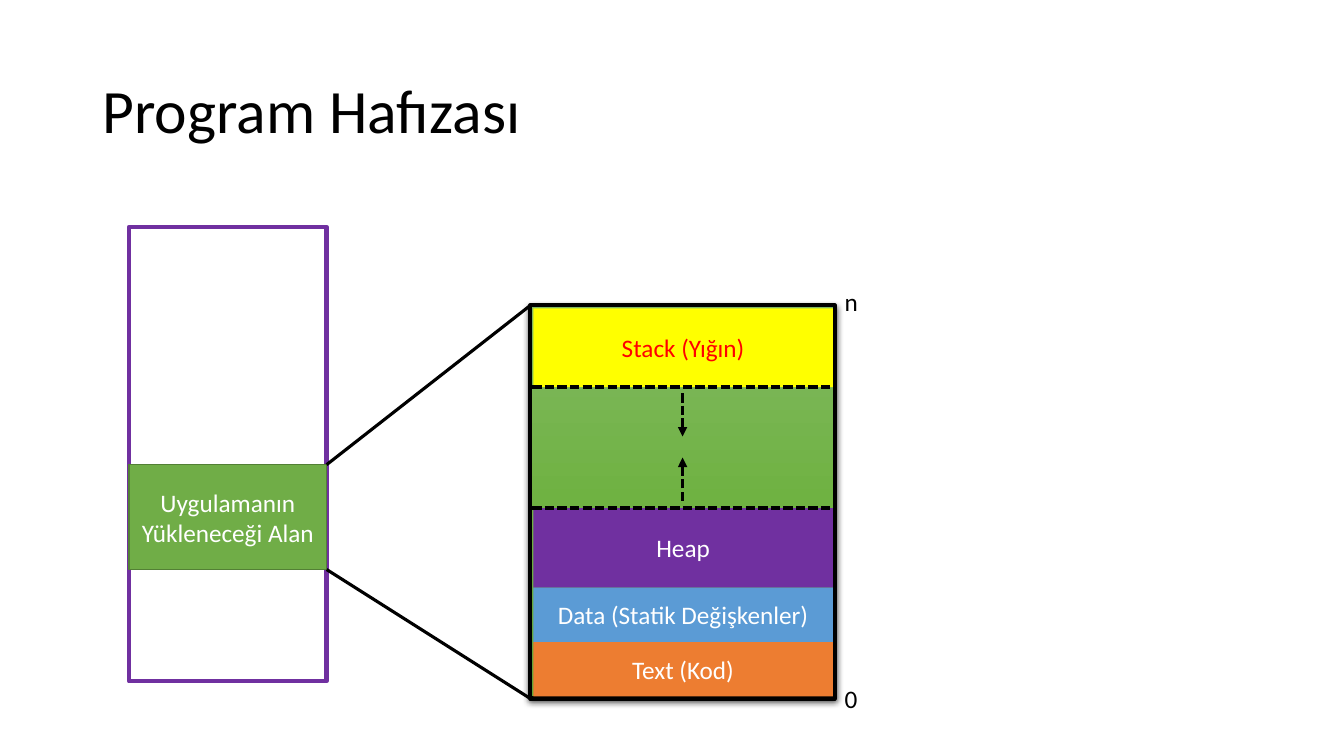
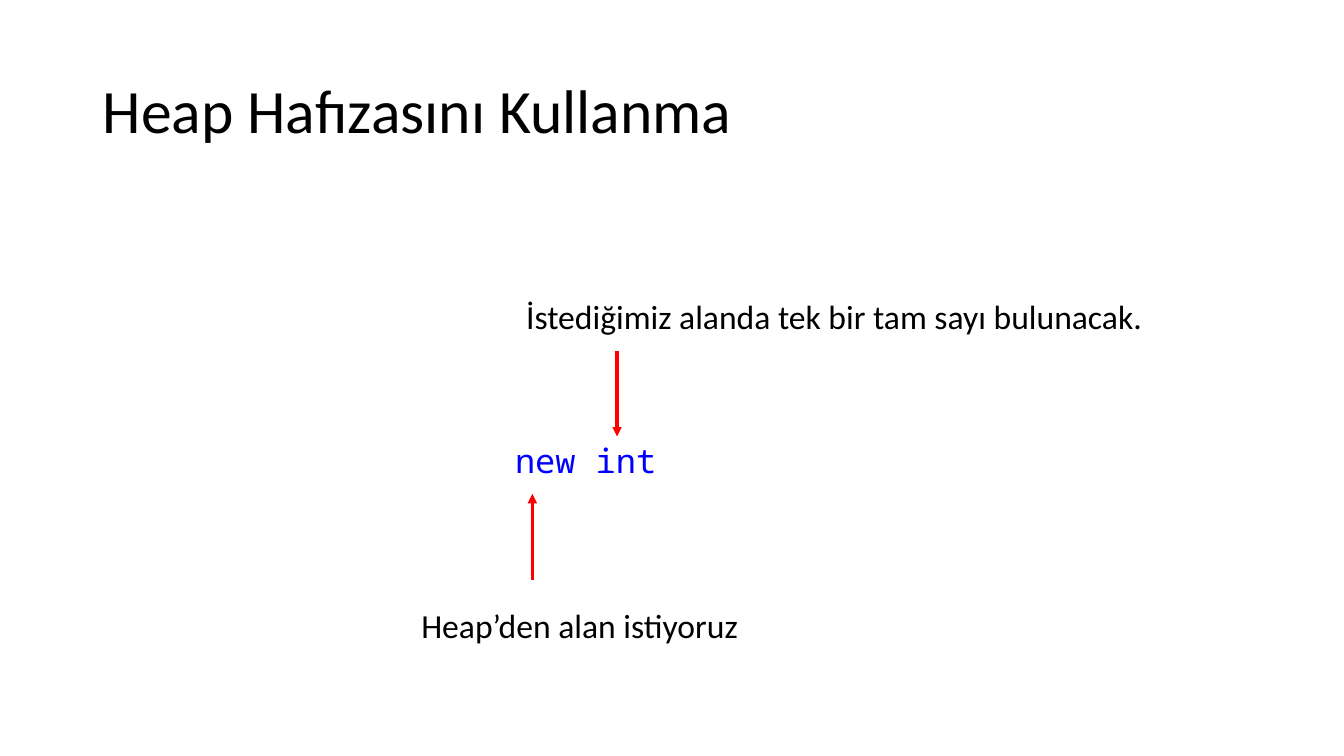
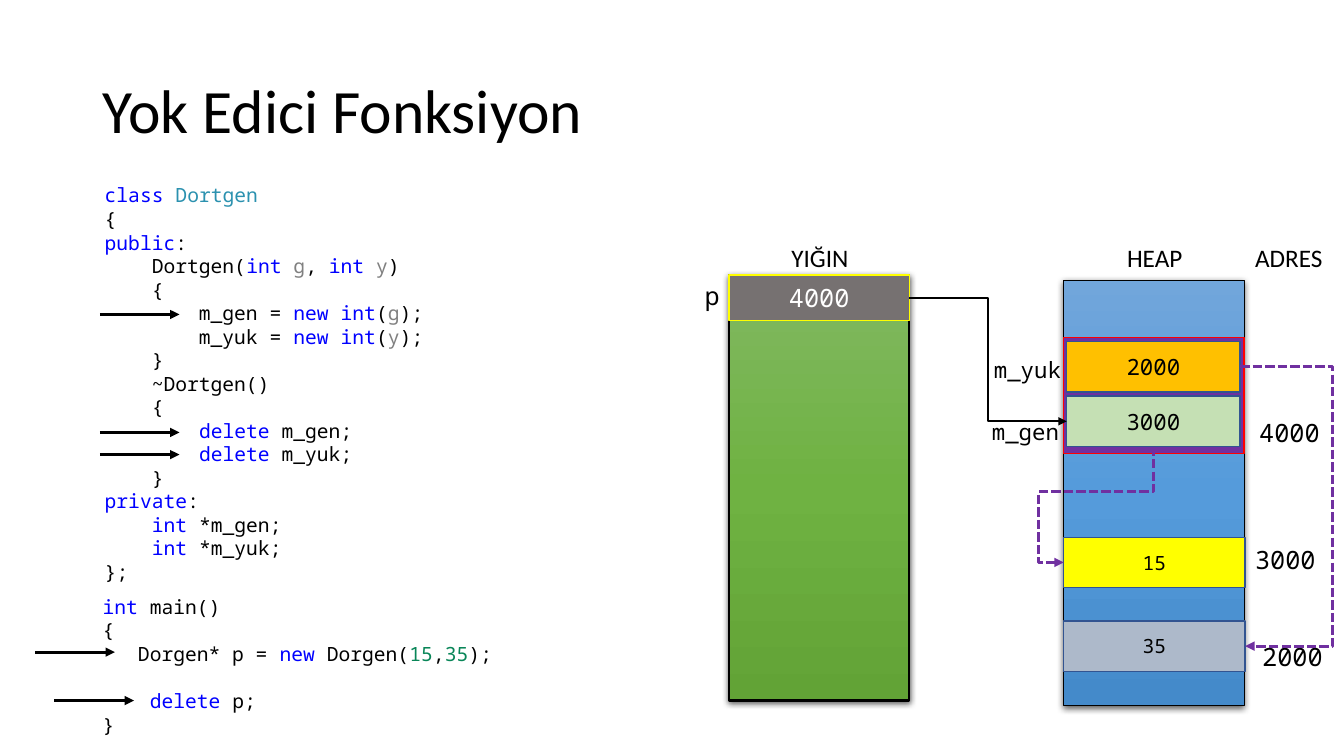
import itertools
from dataclasses import dataclass
from typing import Any, Optional

import lxml.etree
import pptx
import pptx.dml.color
import pptx.enum.dml
import pptx.enum.shapes
import pptx.enum.text
import pptx.oxml.ns
import pptx.util

Inches = pptx.util.Inches
Pt = pptx.util.Pt
qn = pptx.oxml.ns.qn
MIDDLE = pptx.enum.text.MSO_ANCHOR.MIDDLE
CENTER = pptx.enum.text.PP_ALIGN.CENTER
BLANK_LAYOUT = 6
BOTTOM, LEFT, RIGHT = 2, 1, 3  # connection sites of a rectangle


@dataclass(frozen=True)
class Theme:
    sans: str = "Calibri"
    mono: str = "Noto Sans Mono"
    title_size: int = 44
    large: int = 24
    body: int = 18
    value: int = 16
    code: int = 14
    black: str = "000000"
    white: str = "FFFFFF"
    red: str = "FF0000"
    yellow: str = "FFFF00"
    purple: str = "7030A0"
    green: str = "70AD47"
    green_edge: str = "538035"
    orange: str = "ED7D31"
    blue: str = "5B9BD5"
    amber: str = "FFC000"
    pale_green: str = "C5E0B4"
    blue_grey: str = "ADB9CA"
    grey: str = "767171"
    cell_edge: str = "325491"
    keyword: str = "0000FF"
    type_name: str = "2B91AF"
    parameter: str = "808080"
    number: str = "098658"
    green_fade: tuple[str, ...] = ("81B861", "6FB242", "62A336")
    blue_fade: tuple[str, ...] = ("71A6DB", "559BDB", "448ACA")


THEME = Theme()


@dataclass(frozen=True)
class Label:
    text: str
    left: float
    top: float
    width: float
    height: float = 0.4
    size: int = THEME.body
    font: str = THEME.sans
    color: str = THEME.black
    wrap: bool = True


@dataclass(frozen=True)
class Block:
    left: float
    top: float
    width: float
    height: float
    fill: Optional[str] = None
    fade: tuple[str, ...] = ()
    edge: Optional[str] = None
    edge_width: float = 1
    text: str = ""
    size: int = THEME.body
    font: str = THEME.sans
    color: str = THEME.white


@dataclass(frozen=True)
class Stroke:
    color: str = THEME.black
    width: float = 2.25
    dashed: bool = False
    arrow: bool = False


# Formatting helpers
def rgb(value: str) -> pptx.dml.color.RGBColor:
    return pptx.dml.color.RGBColor.from_string(value)


def apply_format(target: Any, values: dict[str, Any]) -> None:
    for name, value in values.items():
        setattr(target, name, value)


def add_run(paragraph: Any, text: str, font: str, size: int, color: str) -> None:
    run = paragraph.add_run()
    run.text = text
    apply_format(run.font, {"name": font, "size": Pt(size)})
    run.font.color.rgb = rgb(color)


def add_effect(parent: Any, tag: str, **attributes: Any) -> Any:
    values = {name: str(value) for name, value in attributes.items()}
    return lxml.etree.SubElement(parent, qn(tag), values)


def fill_with_fade(shape: Any, colors: tuple[str, ...]) -> None:
    """Vertical gradient with equally spaced stops."""
    shape.fill.gradient()
    shape.fill.gradient_angle = 270
    stops = next(shape.element.spPr.iter(qn("a:gsLst")))
    for stop in list(stops):
        stops.remove(stop)
    for index, color in enumerate(colors):
        position = 100000 * index // (len(colors) - 1)
        stop = add_effect(stops, "a:gs", pos=position)
        add_effect(stop, "a:srgbClr", val=color)


def add_shadow(shape: Any) -> None:
    effects = shape.element.spPr.find(qn("a:effectLst"))
    shadow = add_effect(effects, "a:outerShdw", blurRad=Pt(4.5), dist=Pt(1.5),
                        dir=5400000, algn="ctr", rotWithShape=0)
    color = add_effect(shadow, "a:srgbClr", val=THEME.black)
    add_effect(color, "a:alpha", val=63000)


# Drawing helpers
def add_text_box(slide: Any, left: float, top: float, width: float,
                 height: float, wrap: bool = True) -> Any:
    box = slide.shapes.add_textbox(*map(Inches, (left, top, width, height)))
    box.text_frame.word_wrap = wrap
    return box.text_frame


def draw_label(slide: Any, label: Label) -> None:
    frame = add_text_box(slide, label.left, label.top, label.width,
                         label.height, label.wrap)
    add_run(frame.paragraphs[0], label.text, label.font, label.size, label.color)


def draw_block(slide: Any, block: Block) -> Any:
    shape = slide.shapes.add_shape(
        pptx.enum.shapes.MSO_SHAPE.RECTANGLE,
        *map(Inches, (block.left, block.top, block.width, block.height)))
    shape.shadow.inherit = False
    if block.fade:
        fill_with_fade(shape, block.fade)
        add_shadow(shape)
    elif block.fill:
        shape.fill.solid()
        shape.fill.fore_color.rgb = rgb(block.fill)
    else:
        shape.fill.background()
    if block.edge:
        shape.line.color.rgb = rgb(block.edge)
        shape.line.width = Pt(block.edge_width)
    else:
        shape.line.fill.background()
    if block.text:
        apply_format(shape.text_frame, {"word_wrap": True, "vertical_anchor": MIDDLE})
        paragraph = shape.text_frame.paragraphs[0]
        paragraph.alignment = CENTER
        add_run(paragraph, block.text, block.font, block.size, block.color)
    return shape


def style_connector(connector: Any, stroke: Stroke) -> None:
    connector.line.color.rgb = rgb(stroke.color)
    connector.line.width = Pt(stroke.width)
    if stroke.dashed:
        connector.line.dash_style = pptx.enum.dml.MSO_LINE.SQUARE_DOT
    properties = connector.element.spPr
    if stroke.arrow:
        add_effect(properties.find(qn("a:ln")), "a:tailEnd", type="triangle")
    add_effect(properties, "a:effectLst")


def draw_line(slide: Any, start: tuple[float, float], end: tuple[float, float],
              stroke: Stroke) -> None:
    connector = slide.shapes.add_connector(
        pptx.enum.shapes.MSO_CONNECTOR.STRAIGHT, *map(Inches, start + end))
    style_connector(connector, stroke)


def draw_elbow(slide: Any, source: tuple[Any, int], target: tuple[Any, int],
               stroke: Stroke, bends: tuple[float, ...] = (0.5,)) -> None:
    """Glued elbow; two bends make a route that leaves downwards."""
    connector = slide.shapes.add_connector(
        pptx.enum.shapes.MSO_CONNECTOR.ELBOW, 0, 0, 0, 0)
    connector.begin_connect(*source)
    connector.end_connect(*target)
    geometry = connector.element.spPr.find(qn("a:prstGeom"))
    if len(bends) == 2:
        center_x = (connector.begin_x + connector.end_x) // 2
        center_y = (connector.begin_y + connector.end_y) // 2
        width, height = connector.height, connector.width
        apply_format(connector, {"left": center_x - width // 2,
                                 "top": center_y - height // 2,
                                 "width": width, "height": height})
        transform = connector.element.spPr.find(qn("a:xfrm"))
        transform.attrib.pop("flipH", None)
        transform.set("rot", "5400000")
        geometry.set("prst", "bentConnector4")
    for old in list(geometry):
        geometry.remove(old)
    adjustments = add_effect(geometry, "a:avLst")
    for index, bend in enumerate(bends, start=1):
        add_effect(adjustments, "a:gd", name=f"adj{index}",
                   fmla=f"val {round(bend * 100000)}")
    style_connector(connector, stroke)


def add_titled_slide(presentation: Any, title: str) -> Any:
    slide = presentation.slides.add_slide(presentation.slide_layouts[BLANK_LAYOUT])
    frame = add_text_box(slide, 0.92, 0.4, 11.5, 1.45)
    frame.vertical_anchor = MIDDLE
    frame.paragraphs[0].line_spacing = 0.9
    add_run(frame.paragraphs[0], title, THEME.sans, THEME.title_size, THEME.black)
    return slide


# Source code listing
KEYWORDS = {"class", "public", "private", "int", "new", "delete"}
PARAMETERS = {"g", "y"}


def word_color(word: str, previous: str) -> str:
    if word in KEYWORDS:
        return THEME.keyword
    if previous == "class":
        return THEME.type_name
    if word in PARAMETERS:
        return THEME.parameter
    return THEME.number if word.isdigit() else THEME.black


def draw_code(slide: Any, code: str, left: float, top: float,
              width: float, height: float) -> None:
    """A blank line in the code becomes space before the next paragraph."""
    frame = add_text_box(slide, left, top, width, height)
    paragraph, gap = frame.paragraphs[0], 0
    for index, line in enumerate(code.strip("\n").split("\n")):
        if not line:
            gap = 17
            continue
        if index:
            paragraph = frame.add_paragraph()
            paragraph.space_before = Pt(gap)
        gap, previous = 0, ""
        for is_word, letters in itertools.groupby(
                line, lambda letter: letter.isalnum() or letter == "_"):
            token = "".join(letters)
            color = word_color(token, previous) if is_word else THEME.black
            add_run(paragraph, token, THEME.mono, THEME.code, color)
            previous = token if is_word else previous


CLASS_CODE = """
class Dortgen
{
public:
    Dortgen(int g, int y)
    {
        m_gen = new int(g);
        m_yuk = new int(y);
    }
    ~Dortgen()
    {
        delete m_gen;
        delete m_yuk;
    }
private:
    int *m_gen;
    int *m_yuk;
};
"""

MAIN_CODE = """
int main()
{
   Dorgen* p = new Dorgen(15,35);

    delete p;
}
"""


# Slides
def build_program_memory(presentation: Any) -> None:
    slide = add_titled_slide(presentation, "Program Hafızası")
    draw_block(slide, Block(1.28, 2.25, 1.96, 4.51, edge=THEME.purple, edge_width=3))
    draw_block(slide, Block(1.28, 4.61, 1.96, 1.04, THEME.green, edge=THEME.green_edge,
                            text="Uygulamanın Yükleneceği Alan"))
    draw_block(slide, Block(5.26, 3.03, 3.02, 3.9, fade=THEME.green_fade,
                            edge=THEME.black, edge_width=3))
    for near, far in ((4.61, 3.03), (5.65, 6.93)):
        draw_line(slide, (3.24, near), (5.26, far), Stroke())

    # Memory segments from top to bottom; the free area has no fill of its own
    segments = (
        ("Stack (Yığın)", 0.78, THEME.yellow, THEME.red),
        ("", 1.2, None, THEME.white),
        ("Heap", 0.79, THEME.purple, THEME.white),
        ("Data (Statik Değişkenler)", 0.54, THEME.blue, THEME.white),
        ("Text (Kod)", 0.54, THEME.orange, THEME.white),
    )
    top = 3.06
    for text, height, fill, color in segments:
        if fill:
            draw_block(slide, Block(5.29, top, 2.97, height, fill, text=text, color=color))
        top += height
    for edge in (3.84, 5.04):
        draw_line(slide, (5.28, edge), (8.26, edge), Stroke(dashed=True))
    for start, end in ((3.9, 4.33), (4.97, 4.54)):
        draw_line(slide, (6.77, start), (6.77, end), Stroke(dashed=True, arrow=True))
    for text, label_top in (("0", 6.73), ("n", 2.79)):
        draw_label(slide, Label(text, 8.28, label_top, 0.33, wrap=False))


def build_heap_usage(presentation: Any) -> None:
    slide = add_titled_slide(presentation, "Heap Hafızasını Kullanma")
    labels = (
        Label("new int", 5.01, 4.32, 1.79, 0.5, THEME.large, THEME.mono, THEME.keyword),
        Label("Heap’den alan istiyoruz", 4.08, 5.95, 3.38, 0.5, THEME.large, wrap=False),
        Label("İstediğimiz alanda tek bir tam sayı bulunacak.", 5.12, 2.89, 6.36, 0.5,
              THEME.large, wrap=False),
    )
    for label in labels:
        draw_label(slide, label)
    for x, start, end in ((5.28, 5.75, 4.9), (6.12, 3.48, 4.33)):
        draw_line(slide, (x, start), (x, end), Stroke(THEME.red, arrow=True))


def build_destructor(presentation: Any) -> None:
    slide = add_titled_slide(presentation, "Yok Edici Fonksiyon")
    draw_code(slide, CLASS_CODE, 0.94, 1.77, 4.29, 4.11)
    draw_code(slide, MAIN_CODE, 0.92, 5.85, 4.12, 1.51)
    for x, y in ((0.99, 3.12), (0.99, 4.29), (0.99, 4.51), (0.35, 6.47), (0.54, 6.95)):
        draw_line(slide, (x, y), (x + 0.79, y), Stroke(arrow=True))

    # Stack and heap columns, then the object that holds both pointers
    draw_block(slide, Block(7.23, 2.73, 1.79, 4.22, fade=THEME.green_fade,
                            edge=THEME.black, edge_width=1.5))
    draw_block(slide, Block(10.55, 2.78, 1.79, 4.22, fade=THEME.blue_fade,
                            edge=THEME.black, edge_width=0.75))
    draw_block(slide, Block(10.55, 3.35, 1.79, 1.15, THEME.purple, edge=THEME.red))

    # Memory cells
    pointer = draw_block(slide, Block(7.23, 2.73, 1.79, 0.45, THEME.grey, edge=THEME.yellow,
                                      text="4000", font=THEME.mono))
    height_member, width_member, width_value, height_value = (
        draw_block(slide, Block(left, top, width, 0.5, fill, edge=THEME.cell_edge, text=text,
                                size=size, font=THEME.mono, color=THEME.black))
        for left, top, width, fill, text, size in (
            (10.58, 3.39, 1.72, THEME.amber, "2000", THEME.value),
            (10.58, 3.93, 1.72, THEME.pale_green, "3000", THEME.value),
            (10.55, 5.33, 1.8, THEME.yellow, "15", THEME.code),
            (10.55, 6.16, 1.8, THEME.blue_grey, "35", THEME.code),
        ))

    # Headings, addresses and variable names
    labels = (
        Label("YIĞIN", 7.75, 2.36, 0.77, wrap=False),
        Label("HEAP", 11.08, 2.36, 0.75, wrap=False),
        Label("ADRES", 12.35, 2.36, 0.9),
        Label("p", 6.89, 2.73, 0.33, font=THEME.mono),
        Label("4000", 12.39, 4.09, 0.81, font=THEME.mono),
        Label("3000", 12.35, 5.35, 0.81, font=THEME.mono),
        Label("2000", 12.42, 6.31, 0.81, font=THEME.mono),
        Label("m_gen", 9.74, 4.1, 0.9, 0.37, THEME.value, THEME.mono),
        Label("m_yuk", 9.76, 3.48, 0.9, 0.37, THEME.value, THEME.mono),
    )
    for label in labels:
        draw_label(slide, label)

    # Pointers
    dashed = Stroke(THEME.purple, dashed=True, arrow=True)
    draw_elbow(slide, (pointer, RIGHT), (width_member, LEFT), Stroke(width=1.5, arrow=True))
    draw_elbow(slide, (width_member, BOTTOM), (width_value, LEFT), dashed, (0.39, 1.28))
    draw_elbow(slide, (height_member, RIGHT), (height_value, RIGHT), dashed, (18.4,))


def main() -> None:
    presentation = pptx.Presentation()
    apply_format(presentation, {"slide_width": Inches(13.33), "slide_height": Inches(7.5)})
    build_program_memory(presentation)
    build_heap_usage(presentation)
    build_destructor(presentation)
    presentation.save("out.pptx")


if __name__ == "__main__":
    main()
